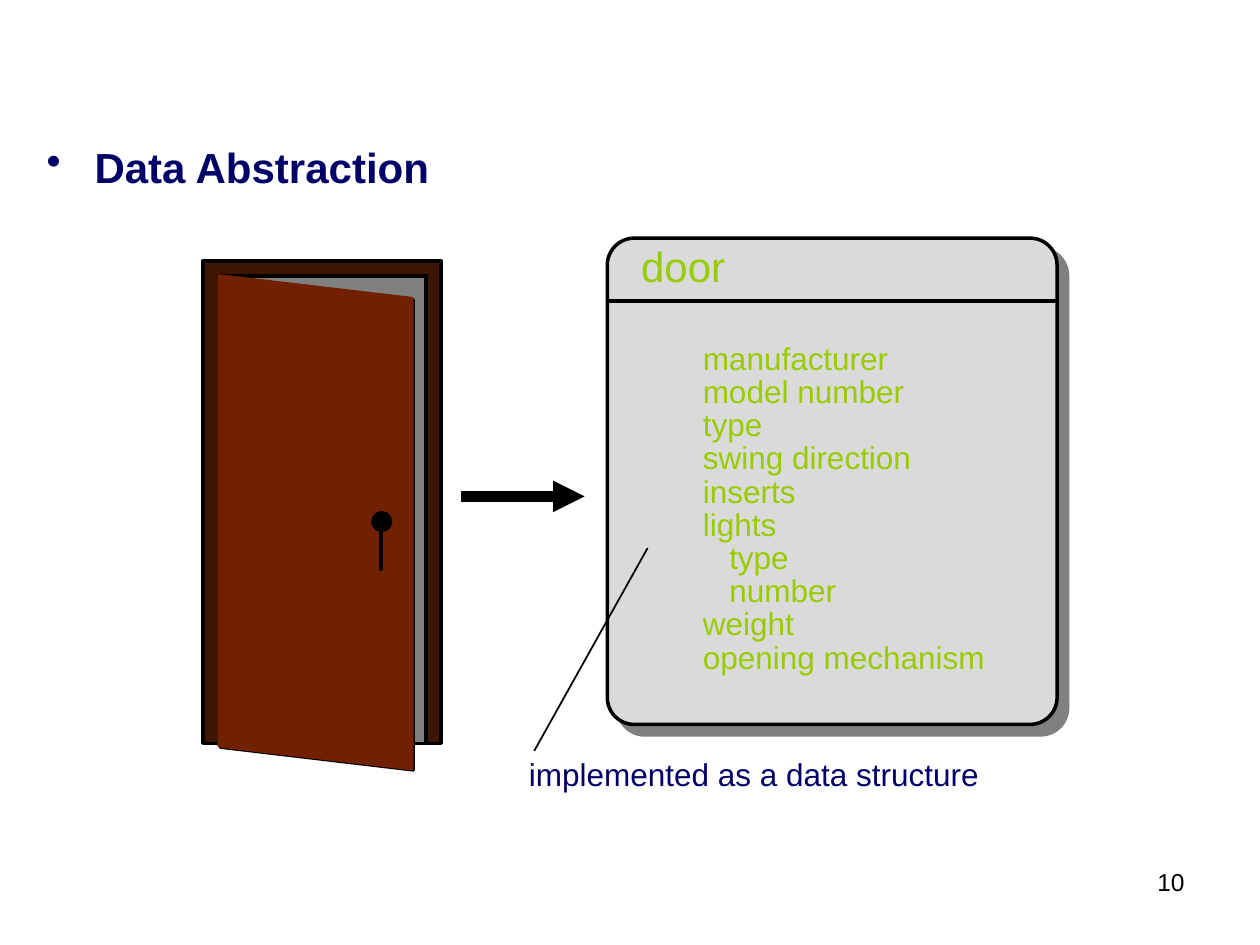
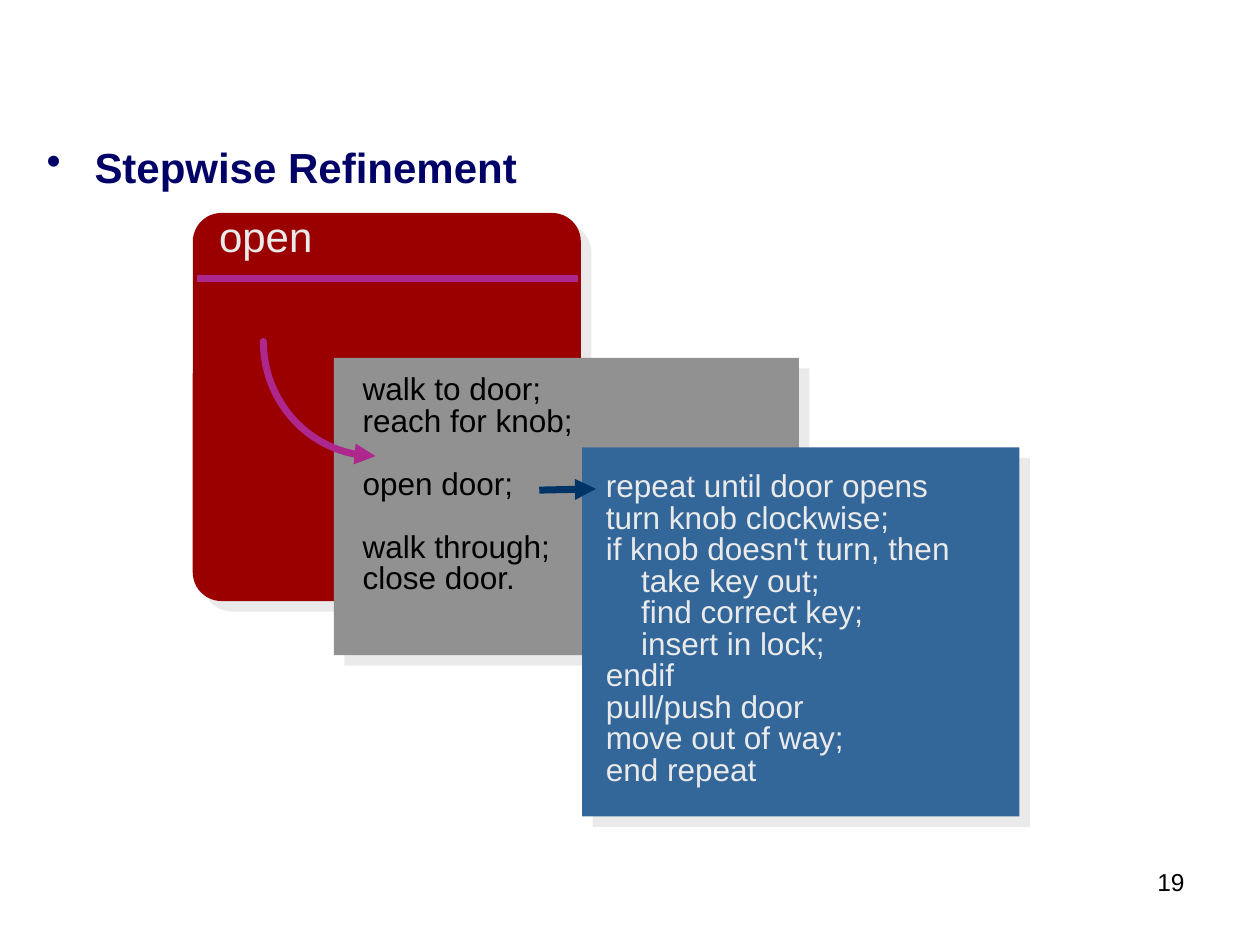
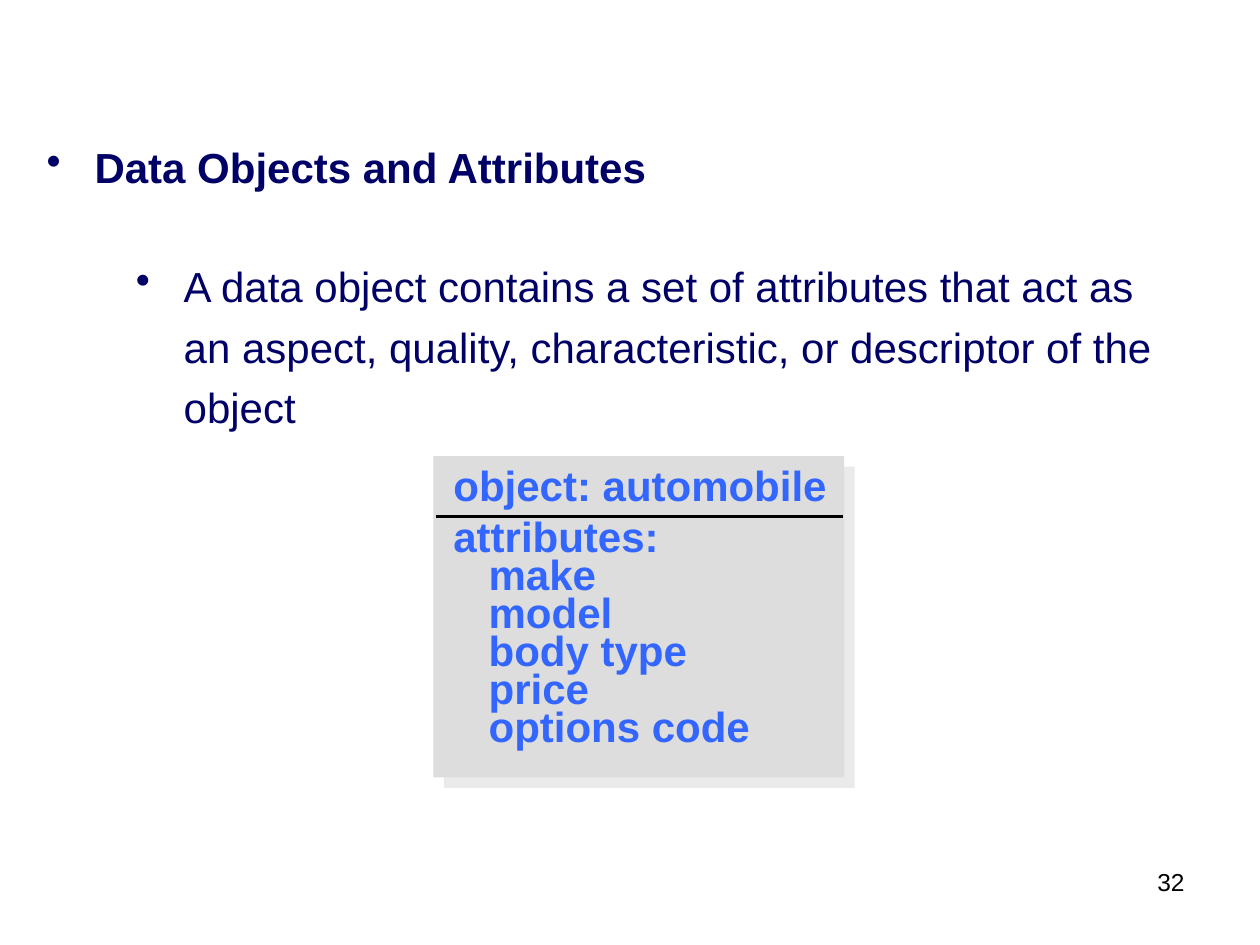
from math import cos, pi, sin

from lxml.etree import SubElement
from pptx import Presentation
from pptx.dml.color import RGBColor
from pptx.enum.shapes import MSO_CONNECTOR, MSO_SHAPE
from pptx.enum.text import MSO_ANCHOR, MSO_AUTO_SIZE, PP_ALIGN
from pptx.oxml.ns import qn
from pptx.util import Inches, Pt

FONT = "Arial"
NAVY = RGBColor(0x00, 0x00, 0x66)
BLACK = RGBColor(0x00, 0x00, 0x00)
LIME = RGBColor(0x99, 0xCC, 0x00)
PURPLE = RGBColor(0xAD, 0x27, 0x8D)
PALE = RGBColor(0xEA, 0xEA, 0xEA)
GREY = RGBColor(0x80, 0x80, 0x80)
CARD_GREY = RGBColor(0xDA, 0xDA, 0xDA)
STEP_GREY = RGBColor(0x91, 0x91, 0x91)
OBJECT_GREY = RGBColor(0xDD, 0xDD, 0xDD)
RED = RGBColor(0x9A, 0x00, 0x00)
STEEL = RGBColor(0x33, 0x66, 0x99)
DEEP_BLUE = RGBColor(0x00, 0x33, 0x66)
BRIGHT_BLUE = RGBColor(0x33, 0x66, 0xFF)
FRAME_BROWN = RGBColor(0x3E, 0x14, 0x03)
LEAF_BROWN = RGBColor(0x71, 0x20, 0x00)

DOOR_FIELDS = [
    (0, 0, "manufacturer"), (1, 0, "model number"), (2, 0, "type"),
    (3, 0, "swing direction"), (4, 0, "inserts"), (5, 0, "lights"),
    (6, 0.21, "type"), (7, 0.21, "number"), (8, 0, "weight"),
    (9, 0, "opening mechanism"),
]
WALK_STEPS = [
    (0, 0, "walk to door;"), (1, 0, "reach for knob;"), (3, 0, "open door;"),
    (5, 0, "walk through;"), (6, 0, "close door."),
]
OPEN_STEPS = [
    (0, 0, "repeat until door opens"), (1, 0, "turn knob clockwise;"),
    (2, 0, "if knob doesn't turn, then"), (3, 0.28, "take key out;"),
    (4, 0.28, "find correct key;"), (5, 0.28, "insert in lock;"),
    (6, 0, "endif"), (7, 0, "pull/push door"), (8, 0, "move out of way;"),
    (9, 0, "end repeat"),
]
OBJECT_HEADS = ["object: automobile", "attributes:"]
OBJECT_ATTRIBUTES = ["make", "model", "body type", "price", "options code"]
DEFINITION = ("A data object contains a set of attributes that act as an aspect, "
              "quality, characteristic, or descriptor of the object")
LEAF = [(1.74, 2.19), (3.27, 2.37), (3.27, 6.1), (1.74, 5.92)]

deck = Presentation()
deck.slide_width, deck.slide_height = Inches(10), Inches(7.5)


def add_span(para, words, size, color, bold=False):
    span = para.add_run()
    span.text = words
    span.font.name, span.font.size = FONT, Pt(size)
    span.font.bold, span.font.color.rgb = bold, color


def indent(para, left, first=0):
    properties = para._p.get_or_add_pPr()
    properties.set("marL", str(Inches(left)))
    properties.set("indent", str(Inches(first)))
    return properties


def add_bullet(para):
    properties = indent(para, 0.38, -0.38)
    color = SubElement(properties, qn("a:buClr"))
    SubElement(color, qn("a:srgbClr"), val=str(NAVY))
    SubElement(properties, qn("a:buChar"), char="•")


def add_box(page, left, top, width, height):
    box = page.shapes.add_textbox(*map(Inches, (left, top, width, height)))
    box.text_frame.word_wrap = True
    return box.text_frame


def add_label(page, words, left, top, width, size, color, height=0.4):
    para = add_box(page, left, top, width, height).paragraphs[0]
    add_span(para, words, size, color)
    return para


def add_rows(page, rows, left, top, width, pitch, color):
    for row, margin, words in rows:
        para = add_label(page, words, left, top + row * pitch, width, 18, color)
        indent(para, margin)


def paint(shape, fill=None, line=None, weight=2, shade=None):
    if fill is None:
        shape.fill.background()
    else:
        shape.fill.solid()
        shape.fill.fore_color.rgb = fill
    if line is None:
        shape.line.fill.background()
    else:
        shape.line.color.rgb = line
        shape.line.width = Pt(weight)
    shape.shadow.inherit = False
    if shade is not None:
        effects = shape._element.spPr.find(qn("a:effectLst"))
        outer = SubElement(effects, qn("a:outerShdw"), dist=str(Pt(8.5)),
                           dir="2700000", algn="ctr", rotWithShape="0")
        SubElement(outer, qn("a:srgbClr"), val=str(shade))
    return shape


def add_panel(page, kind, left, top, width, height, **look):
    shape = page.shapes.add_shape(kind, *map(Inches, (left, top, width, height)))
    return paint(shape, **look)


def add_outline(page, points, closed, **look):
    corners = [(Inches(x), Inches(y)) for x, y in points]
    builder = page.shapes.build_freeform(*corners[0], scale=1.0)
    builder.add_line_segments(corners[1:], close=closed)
    return paint(builder.convert_to_shape(), **look)


def add_line(page, start, end, color, weight, arrow=False):
    line = page.shapes.add_connector(MSO_CONNECTOR.STRAIGHT, *map(Inches, start + end))
    line.line.color.rgb = color
    line.line.width = Pt(weight)
    if arrow:
        SubElement(line.line._get_or_add_ln(), qn("a:tailEnd"), type="triangle")
    SubElement(line._element.spPr, qn("a:effectLst"))


def add_page(heading, number):
    page = deck.slides.add_slide(deck.slide_layouts[5])
    title = page.shapes.title
    title.left, title.top, title.width, title.height = map(Inches, (0.27, 1.07, 9, 1.5))
    frame = title.text_frame
    frame.auto_size = MSO_AUTO_SIZE.NONE
    frame.vertical_anchor = MSO_ANCHOR.TOP
    para = frame.paragraphs[0]
    para.alignment = PP_ALIGN.LEFT
    para.space_before = Pt(6)
    add_bullet(para)
    add_span(para, heading, 24, NAVY, bold=True)
    footer = add_label(page, number, 7.44, 6.83, 2.06, 14, BLACK, height=0.52)
    footer.alignment = PP_ALIGN.RIGHT
    return page


def build_abstraction():
    page = add_page("Data Abstraction", "10")
    card = add_panel(page, MSO_SHAPE.ROUNDED_RECTANGLE, 4.82, 1.89, 3.57, 3.86,
                     fill=CARD_GREY, line=BLACK, shade=GREY)
    card.adjustments[0] = 0.06
    add_line(page, (4.82, 2.39), (8.38, 2.39), BLACK, 2)
    add_label(page, "door", 4.99, 1.86, 1, 24, LIME, height=0.5)
    add_line(page, (5.14, 4.35), (4.24, 5.96), BLACK, 1)
    add_label(page, "implemented as a data structure", 4.1, 5.94, 3.9, 18, NAVY)
    add_rows(page, DOOR_FIELDS, 5.48, 2.64, 2.6, 0.2635, LIME)

    add_panel(page, MSO_SHAPE.RECTANGLE, 1.61, 2.07, 1.89, 3.83,
              fill=FRAME_BROWN, line=BLACK)
    add_panel(page, MSO_SHAPE.RECTANGLE, 1.74, 2.19, 1.64, 3.71, fill=GREY, line=BLACK)
    edge = [(x + 0.01, y + 0.01) for x, y in LEAF]
    add_outline(page, edge, True, line=BLACK)
    add_outline(page, LEAF, True, fill=LEAF_BROWN, line=LEAF_BROWN)
    add_panel(page, MSO_SHAPE.OVAL, 2.96, 4.07, 0.14, 0.14, fill=BLACK, line=BLACK)
    add_panel(page, MSO_SHAPE.RECTANGLE, 3.02, 4.19, 0.01, 0.33, fill=BLACK, line=BLACK)
    add_line(page, (3.66, 3.94), (4.64, 3.94), BLACK, 6, arrow=True)


def build_refinement():
    page = add_page("Stepwise Refinement", "19")
    card = add_panel(page, MSO_SHAPE.ROUNDED_RECTANGLE, 1.53, 1.69, 3.08, 3.08,
                     fill=RED, shade=PALE)
    card.adjustments[0] = 0.074
    add_line(page, (1.56, 2.21), (4.59, 2.21), PURPLE, 4)
    add_label(page, "open", 1.64, 1.62, 1.1, 24, PALE, height=0.5)
    add_panel(page, MSO_SHAPE.RECTANGLE, 2.65, 2.84, 3.69, 2.36,
              fill=STEP_GREY, shade=PALE)
    add_rows(page, WALK_STEPS, 2.78, 2.88, 2.1, 0.25, BLACK)
    add_panel(page, MSO_SHAPE.RECTANGLE, 4.62, 3.55, 3.47, 2.93, fill=STEEL, shade=PALE)
    add_rows(page, OPEN_STEPS, 4.71, 3.65, 3.1, 0.25, PALE)
    add_line(page, (4.28, 3.89), (4.73, 3.88), DEEP_BLUE, 4, arrow=True)

    steps = 24
    angles = [pi / 2 * step / steps for step in range(steps + 1)]
    sweep = [(2.98 - 0.89 * cos(angle), 2.71 + 0.91 * sin(angle)) for angle in angles]
    curve = add_outline(page, sweep, False, line=PURPLE, weight=4)
    stroke = curve.line._get_or_add_ln()
    stroke.set("cap", "rnd")
    SubElement(stroke, qn("a:round"))
    SubElement(stroke, qn("a:tailEnd"), type="triangle")


def build_objects():
    page = add_page("Data Objects and Attributes", "32")
    para = add_label(page, DEFINITION, 0.98, 1.94, 8.29, 24, NAVY, height=1.65)
    para.line_spacing = 1.2
    para.space_before = para.space_after = Pt(6)
    add_bullet(para)

    add_panel(page, MSO_SHAPE.RECTANGLE, 3.44, 3.62, 3.26, 2.55,
              fill=OBJECT_GREY, shade=PALE)
    frame = add_box(page, 3.5, 3.6, 3.25, 2.4)
    for index, words in enumerate(OBJECT_HEADS + OBJECT_ATTRIBUTES):
        para = frame.add_paragraph() if index else frame.paragraphs[0]
        if index >= len(OBJECT_HEADS):
            para.line_spacing = 0.75
            indent(para, 0.28)
        add_span(para, words, 24, BRIGHT_BLUE, bold=True)
    add_line(page, (3.46, 4.1), (6.69, 4.1), BLACK, 2)


build_abstraction()
build_refinement()
build_objects()
deck.save("out.pptx")
